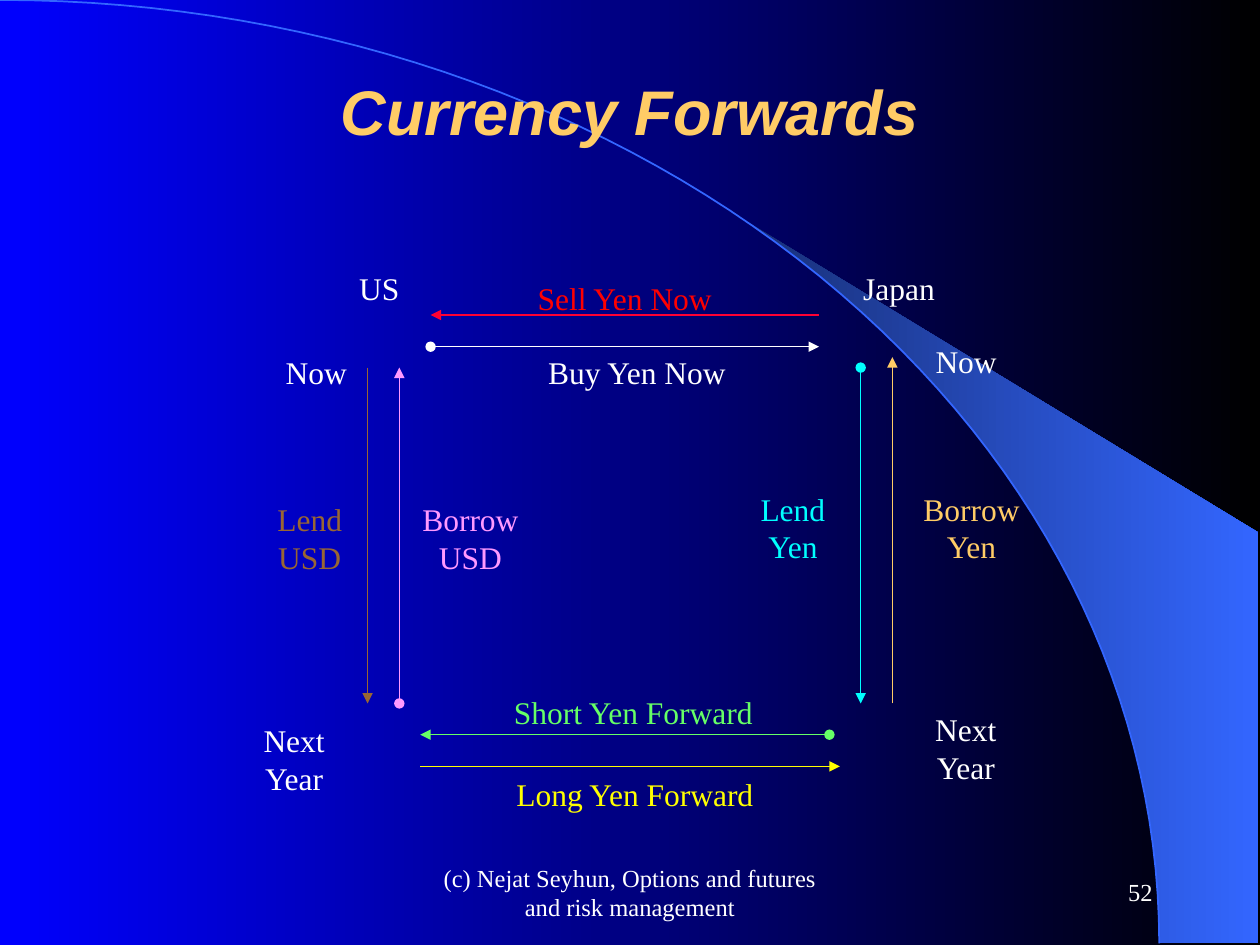
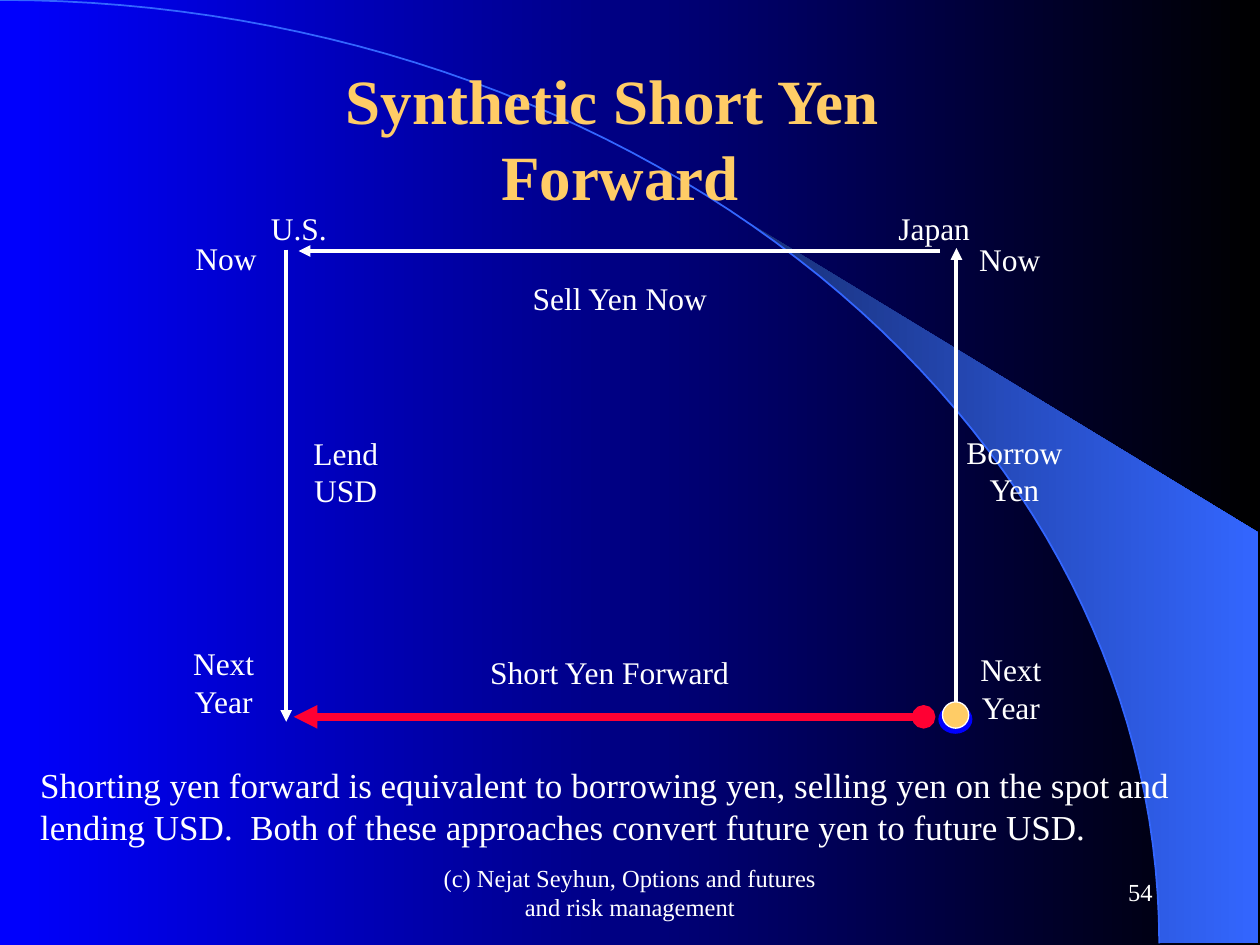
from collections import namedtuple
from dataclasses import dataclass
from math import asin, cos, pi, sin

from lxml.etree import SubElement
from pptx import Presentation
from pptx.dml.color import RGBColor
from pptx.enum.shapes import MSO_CONNECTOR as Conn, MSO_SHAPE as Geo
from pptx.enum.text import MSO_ANCHOR as Anchor, MSO_AUTO_SIZE as Fit, PP_ALIGN as Align
from pptx.oxml.ns import qn
from pptx.util import Cm, Pt

Box = namedtuple("Box", "left top width height")
Label = namedtuple("Label", "text x y width lines color", defaults=(1, "FFFFFF"))
Arrow = namedtuple("Arrow", "x1 y1 x2 y2 color width oval", defaults=("FFFFFF", 2.25, False))


@dataclass(frozen=True)
class Theme:
    serif: str = "Times New Roman"
    sans: str = "Arial"
    white: str = "FFFFFF"
    gold: str = "FFCC66"
    blue: str = "0000FF"
    black: str = "000000"
    navy: str = "182F76"
    azure: str = "3366FF"
    crimson: str = "FF0033"
    red: str = "FF0000"
    cyan: str = "00FFFF"
    green: str = "66FF66"
    pink: str = "FF99FF"
    brown: str = "996633"
    yellow: str = "FFFF00"
    title: int = 36
    body: int = 20
    label: int = 18
    footer: int = 14


T = Theme()
PAGE = Box(0, 0, 25.4, 19.05)
FOOTER = Box(0, 17.35, 25.4, 1.27)
FOOTER_TEXT = "(c) Nejat Seyhun, Options and futures and risk management"
GAP = 0.64


def rgb(color):
    return RGBColor.from_string(color)


def set_gradient(fill, *colors):
    fill.gradient()
    fill.gradient_angle = 0
    for stop, color in zip(fill.gradient_stops, colors):
        stop.color.rgb = rgb(color)


def add_text(s, text, box, size=T.label, font=T.serif, color=T.white, bold=False,
             italic=False, align=Align.LEFT, anchor=Anchor.TOP, wrap=True,
             grow=True, inset=(0.25, 0.13)):
    sp = s.shapes.add_textbox(*map(Cm, box))
    tf = sp.text_frame
    tf.word_wrap = wrap
    tf.auto_size = Fit.SHAPE_TO_FIT_TEXT if grow else Fit.NONE
    tf.vertical_anchor = anchor
    tf.margin_left = tf.margin_right = Cm(inset[0])
    tf.margin_top = tf.margin_bottom = Cm(inset[1])
    tf.text = text
    for p in tf.paragraphs:
        p.alignment = align
        for r in p.runs:
            r.font.name, r.font.size = font, Pt(size)
            r.font.bold, r.font.italic = bold, italic
            r.font.color.rgb = rgb(color)


def add_arrow(s, box, arrow):
    ends = (box.left + arrow.x1, box.top + arrow.y1, box.left + arrow.x2, box.top + arrow.y2)
    sp = s.shapes.add_connector(Conn.STRAIGHT, *map(Cm, ends))
    sp.line.color.rgb = rgb(arrow.color)
    sp.line.width = Pt(arrow.width)
    ln = sp.line._get_or_add_ln()
    if arrow.oval:
        SubElement(ln, qn("a:headEnd"), type="oval")
    SubElement(ln, qn("a:tailEnd"), type="triangle")
    SubElement(sp._element.spPr, qn("a:effectLst"))


def add_label(s, box, label, wrap):
    place = Box(box.left + label.x, box.top + label.y, label.width, 0.25 + 0.76 * label.lines)
    add_text(s, label.text, place, color=label.color, wrap=wrap,
             align=Align.CENTER if label.lines > 1 else Align.LEFT)


def add_dot(s, box, fill, line):
    sp = s.shapes.add_shape(Geo.OVAL, *map(Cm, box))
    sp.shadow.inherit = False
    sp.fill.solid()
    sp.fill.fore_color.rgb = rgb(fill)
    sp.line.color.rgb = rgb(line)
    sp.line.width = Pt(0.75)


def add_outline(s, points, close):
    (x, y), *rest = [(Cm(x), Cm(y)) for x, y in points]
    builder = s.shapes.build_freeform(x, y)
    builder.add_line_segments(rest, close=close)
    sp = builder.convert_to_shape()
    sp.shadow.inherit = False
    return sp


def arc_points(box, start, steps=60):
    angles = [start + (pi / 2 - start) * i / steps for i in range(steps + 1)]
    return [(box.left + box.width * sin(a), box.top + box.height * (1 - cos(a))) for a in angles]


def draw_backdrop(s, box):
    arc = Box(box.left, box.top, 23.37, 19.02)
    right = box.left + 25.37
    corner = [(right, box.top + 19.02), (right, box.top + 10.74)]
    beam = add_outline(s, arc_points(arc, asin(0.64)) + corner, True)
    set_gradient(beam.fill, T.navy, T.azure)
    beam.line.fill.background()
    curve = add_outline(s, arc_points(arc, 0), False)
    curve.fill.background()
    curve.line.color.rgb = rgb(T.azure)
    curve.line.width = Pt(1)


def draw_footer(s, box, number):
    style = dict(size=T.footer, anchor=Anchor.MIDDLE, grow=False)
    add_text(s, FOOTER_TEXT, Box(box.left + 8.68, box.top, 8.04, box.height),
             align=Align.CENTER, **style)
    add_text(s, number, Box(box.left + 18.2, box.top, 5.29, box.height),
             align=Align.RIGHT, **style)


def draw_diagram(s, box, arrows, labels, wrap):
    for arrow in arrows:
        add_arrow(s, box, arrow)
    for label in labels:
        add_label(s, box, label, wrap)


def draw_currency_square(s, box):
    w, h = box.width, box.height
    near, far = 1.06, 7.83
    arrows = [
        Arrow(1.27, GAP, 9.1, GAP, T.white, 0.75, True),
        Arrow(w - GAP, near, w - GAP, far, T.cyan, 0.75, True),
        Arrow(9.31, h - GAP, near, h - GAP, T.green, 0.75, True),
        Arrow(GAP, far, GAP, near, T.pink, 0.75, True),
        Arrow(9.1, 0, 1.27, 0, T.crimson, 0.75),
        Arrow(0, near, 0, far, T.brown, 0.75),
        Arrow(near, h, 9.52, h, T.yellow, 0.75),
        Arrow(w, far, w, 0.85, T.gold, 0.75),
    ]
    labels = [
        Label("Sell Yen Now", 3.18, -0.85, 6.3, 1, T.red),
        Label("Buy Yen Now", 3.39, 0.64, 5.6),
        Label("Short Yen Forward", 2.7, 7.49, 6.9, 1, T.green),
        Label("Long Yen Forward", 2.75, 9.14, 6.42, 1, T.yellow),
        Label("Borrow USD", 0.64, 3.6, 2.87, 2, T.pink),
        Label("Lend USD", -2.33, 3.6, 2.33, 2, T.brown),
        Label("Lend Yen", 7.41, 3.39, 2.33, 2, T.cyan),
        Label("Borrow Yen", 10.8, 3.39, 2.75, 2, T.gold),
        Label("Next\vYear", -2.54, 8.05, 2.12, 2),
        Label("Next\vYear", 11, 7.83, 2.12, 2),
        Label("Now", -1.9, 0.64, 1.9),
        Label("Now", 11.2, 0.42, 1.9),
        Label("US", -0.42, -1.06, 1.48),
        Label("Japan", 9.74, -1.06, 2.36),
    ]
    draw_diagram(s, box, arrows, labels, True)


def draw_short_square(s, box):
    w, h = box.width, box.height
    arrows = [
        Arrow(13.18, 0.03, 0.25, 0.03),
        Arrow(0, 0, 0, h + 0.1),
        Arrow(w, h + 0.05, w, -0.03),
        Arrow(12.85, h, 0.15, h, T.crimson, 4.5, True),
    ]
    labels = [
        Label("U.S.", -0.56, -0.94, 1.75),
        Label("Japan", 12.09, -0.94, 2.1),
        Label("Now", -2.08, -0.34, 1.9),
        Label("Now", 13.72, -0.32, 1.9),
        Label("Sell Yen Now", 4.72, 0.46, 4.2),
        Label("Lend\nUSD", 0.2, 3.58, 2, 2),
        Label("Borrow\nYen", 13.36, 3.56, 2.64, 2),
        Label("Next\nYear", -2.21, 7.82, 1.9, 2),
        Label("Next\nYear", 13.66, 7.95, 1.9, 2),
        Label("Short Yen Forward", 3.86, 8, 5.5),
    ]
    draw_diagram(s, box, arrows, labels, False)
    add_dot(s, Box(box.left + 13.16, box.top + 9.19, 0.66, 0.56), T.blue, T.blue)
    add_dot(s, Box(box.left + 13.23, box.top + 9.12, 0.53, 0.53), T.gold, T.white)


def add_slide(prs, number):
    s = prs.slides.add_slide(prs.slide_layouts[6])
    draw_backdrop(s, PAGE)
    draw_footer(s, FOOTER, number)
    return s


def add_title(s, text, box, **style):
    add_text(s, text, box, size=T.title, color=T.gold, bold=True, align=Align.CENTER, **style)


def build_currency_forwards(prs):
    s = add_slide(prs, "52")
    add_title(s, "Currency Forwards", Box(1.9, 0.64, 21.59, 3.18), font=T.sans,
              italic=True, anchor=Anchor.MIDDLE, grow=False)
    draw_currency_square(s, Box(7.41, 6.35, 10.58, 9.1))


def build_synthetic_short(prs):
    s = add_slide(prs, "54")
    add_title(s, "Synthetic Short Yen  Forward", Box(6.48, 1.12, 12.04, 3.3))
    add_text(s, "Shorting yen forward is equivalent to borrowing yen, selling yen on the spot "
                "and lending USD.  Both of these approaches convert future yen to future USD.",
             Box(0.81, 15.4, 24.59, 1.7), size=T.body, inset=(0, 0))
    draw_short_square(s, Box(5.77, 5.03, 13.51, 9.42))


def main():
    prs = Presentation()
    prs.slide_width, prs.slide_height = Cm(PAGE.width), Cm(PAGE.height)
    set_gradient(prs.slide_master.background.fill, T.blue, T.black)
    build_currency_forwards(prs)
    build_synthetic_short(prs)
    prs.save("out.pptx")


if __name__ == "__main__":
    main()
